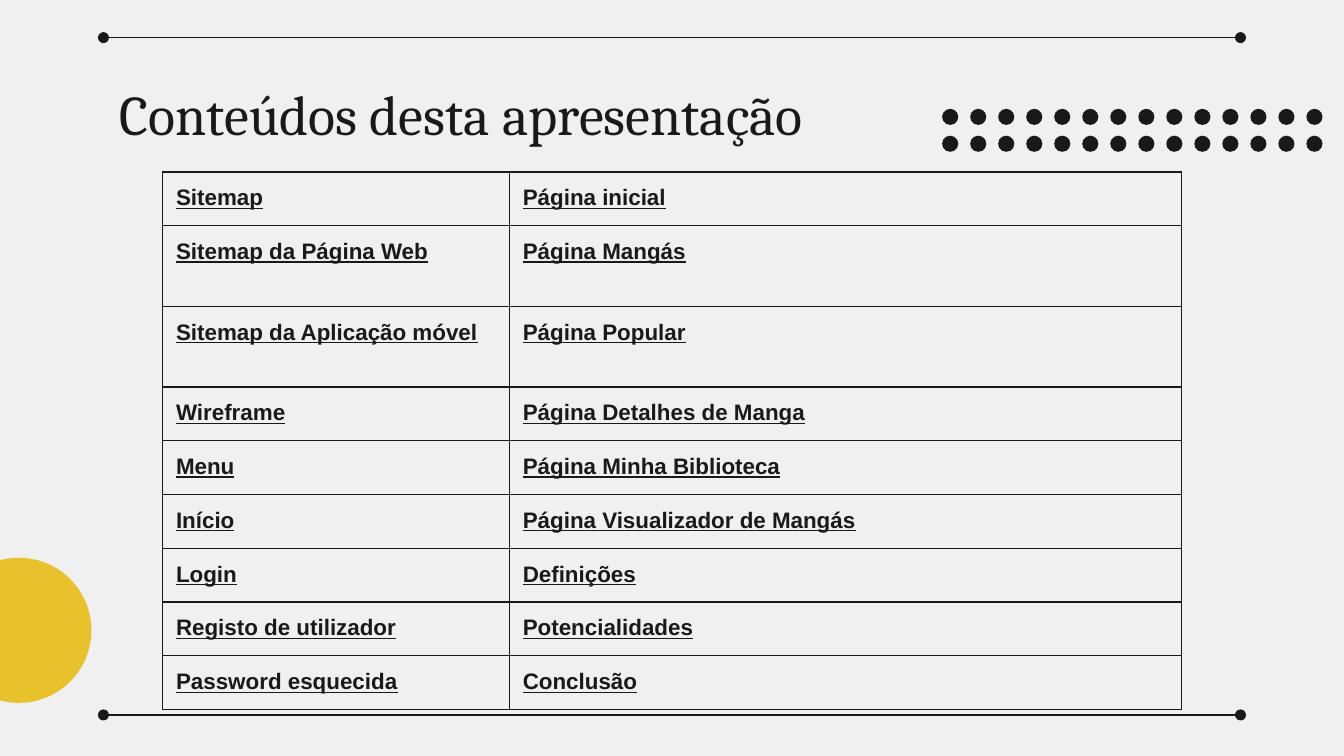
from lxml import etree
from pptx import Presentation
from pptx import util as u
from pptx.dml.color import RGBColor
from pptx.enum import shapes, text
from pptx.oxml import ns

INK = RGBColor(0x19, 0x19, 0x19)
PAPER = RGBColor(0xF0, 0xF0, 0xF0)
YELLOW = RGBColor(0xE7, 0xC2, 0x2C)
RULE_WIDTH = u.Pt(0.75)

CONTENTS = [
    ("Sitemap", "Página inicial"),
    ("Sitemap da Página Web", "Página Mangás"),
    ("Sitemap da Aplicação móvel", "Página Popular"),
    ("Wireframe", "Página Detalhes de Manga"),
    ("Menu", "Página Minha Biblioteca"),
    ("Início", "Página Visualizador de Mangás"),
    ("Login", "Definições"),
    ("Registo de utilizador", "Potencialidades"),
    ("Password esquecida", "Conclusão"),
]
COLUMN_WIDTHS = (2.58, 5)
TALL_ROWS = (1, 2)


def set_margins(frame):
    frame.margin_left = frame.margin_right = u.Inches(0.1)
    frame.margin_top = frame.margin_bottom = u.Inches(0.1)


def format_font(font, name, size):
    font.name = name
    font.size = u.Pt(size)
    font.color.rgb = INK


def add_circle(parent, left, top, size, color):
    circle = parent.shapes.add_shape(
        shapes.MSO_SHAPE.OVAL,
        u.Inches(left), u.Inches(top), u.Inches(size), u.Inches(size))
    circle.shadow.inherit = False
    circle.fill.solid()
    circle.fill.fore_color.rgb = color
    circle.line.fill.background()


def add_dot_grid(slide):
    group = slide.shapes.add_group_shape()
    for column in range(14):
        for top in (1.01, 0.81):
            add_circle(group, 7.01 + column * 2.71 / 13, top, 0.12, INK)


def add_title(slide, wording):
    title = slide.shapes.title
    title.left, title.top = u.Inches(0.79), u.Inches(0.49)
    title.width, title.height = u.Inches(8.43), u.Inches(0.63)
    frame = title.text_frame
    frame.text = wording
    frame.word_wrap = True
    frame.auto_size = text.MSO_AUTO_SIZE.NONE
    frame.vertical_anchor = text.MSO_ANCHOR.TOP
    set_margins(frame)
    para = frame.paragraphs[0]
    para.alignment = text.PP_ALIGN.LEFT
    format_font(para.runs[0].font, "Cambria", 30)


def add_borders(cell):
    # Border lines come before the fill in the cell properties
    properties = cell._tc.get_or_add_tcPr()
    for index, side in enumerate(("a:lnL", "a:lnR", "a:lnT", "a:lnB")):
        line = etree.Element(ns.qn(side), w=str(int(RULE_WIDTH)))
        fill = etree.SubElement(line, ns.qn("a:solidFill"))
        etree.SubElement(fill, ns.qn("a:srgbClr"), val=str(INK))
        properties.insert(index, line)


def fill_cell(cell, wording):
    cell.fill.background()
    set_margins(cell)
    cell.vertical_anchor = text.MSO_ANCHOR.TOP
    cell.text_frame.text = wording
    font = cell.text_frame.paragraphs[0].runs[0].font
    format_font(font, "Arial", 12)
    font.bold = font.underline = True
    add_borders(cell)


def add_contents_table(slide):
    table = slide.shapes.add_table(
        len(CONTENTS), len(COLUMN_WIDTHS), u.Inches(1.21), u.Inches(1.28),
        u.Inches(sum(COLUMN_WIDTHS)), u.Inches(4)).table
    table.first_row = table.horz_banding = False
    for column, width in zip(table.columns, COLUMN_WIDTHS):
        column.width = u.Inches(width)
    for index, (row, wordings) in enumerate(zip(table.rows, CONTENTS)):
        row.height = u.Inches(0.6 if index in TALL_ROWS else 0.4)
        for cell, wording in zip(row.cells, wordings):
            fill_cell(cell, wording)


def add_rule(slide, y):
    rule = slide.shapes.add_connector(
        shapes.MSO_CONNECTOR.STRAIGHT,
        u.Inches(0.77), u.Inches(y), u.Inches(9.23), u.Inches(y))
    rule.line.color.rgb = INK
    rule.line.width = RULE_WIDTH
    line = rule.line._get_or_add_ln()
    for end in ("a:headEnd", "a:tailEnd"):
        etree.SubElement(line, ns.qn(end), type="oval", w="med", len="med")
    etree.SubElement(rule._element.spPr, ns.qn("a:effectLst"))


def main():
    deck = Presentation()
    deck.slide_width = u.Inches(10)
    deck.slide_height = deck.slide_width * 9 // 16
    slide = deck.slides.add_slide(deck.slide_layouts.get_by_name("Title Only"))
    slide.background.fill.solid()
    slide.background.fill.fore_color.rgb = PAPER

    # Content
    add_dot_grid(slide)
    add_title(slide, "Conteúdos desta apresentação")
    add_contents_table(slide)

    # Frame and accent
    for y in (0.28, 5.32):
        add_rule(slide, y)
    add_circle(slide, -0.4, 4.15, 1.08, YELLOW)

    deck.save("out.pptx")


if __name__ == "__main__":
    main()
